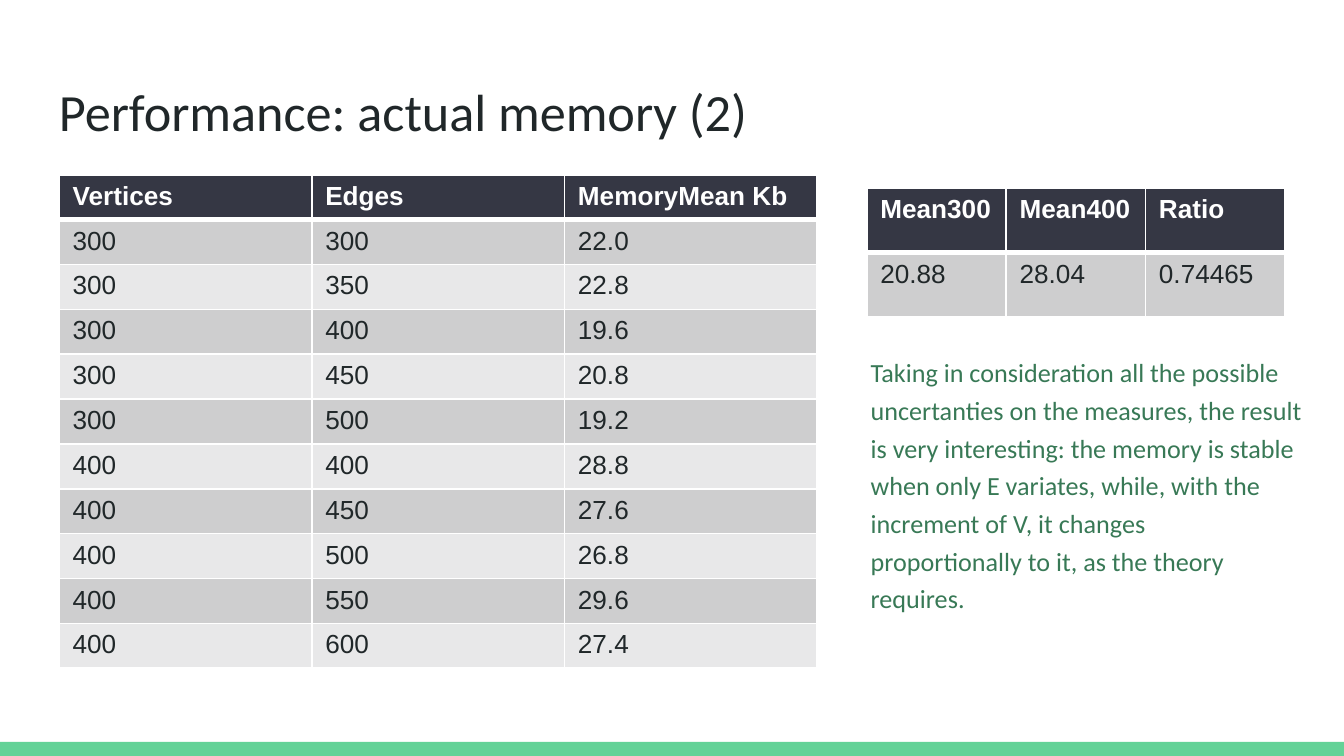
from dataclasses import dataclass

from lxml.etree import SubElement
from pptx import Presentation
from pptx.dml.color import RGBColor
from pptx.enum.shapes import MSO_SHAPE as Preset
from pptx.oxml.ns import qn
from pptx.slide import Slide
from pptx.table import _Cell as Cell
from pptx.text.text import TextFrame
from pptx.util import Inches, Pt

WHITE = RGBColor(0xFF, 0xFF, 0xFF)
INK = RGBColor(0x20, 0x27, 0x29)
NAVY = RGBColor(0x35, 0x37, 0x44)
DARK_BAND = RGBColor(0xCE, 0xCE, 0xCF)
LIGHT_BAND = RGBColor(0xE8, 0xE8, 0xE9)
MINT = RGBColor(0x63, 0xD2, 0x97)
GREEN = RGBColor(0x38, 0x79, 0x56)


@dataclass
class Measures:
    left: float
    top: float
    width: float
    height: float
    header_height: float
    body_height: float
    rows: list[tuple[str, ...]]


MEMORY = Measures(0.44, 1.3, 5.64, 3.67, 0.25, 3.24, [
    ("Vertices", "Edges", "MemoryMean Kb"),
    ("300", "300", "22.0"),
    ("300", "350", "22.8"),
    ("300", "400", "19.6"),
    ("300", "450", "20.8"),
    ("300", "500", "19.2"),
    ("400", "400", "28.8"),
    ("400", "450", "27.6"),
    ("400", "500", "26.8"),
    ("400", "550", "29.6"),
    ("400", "600", "27.4"),
])
MEANS = Measures(6.45, 1.4, 3.11, 0.97, 0.48, 0.48, [
    ("Mean300", "Mean400", "Ratio"),
    ("20.88", "28.04", "0.74465"),
])
CONCLUSION = (
    "Taking in consideration all the possible uncertanties on the measures, "
    "the result is very interesting: the memory is stable when only E variates, "
    "while, with the increment of V, it changes proportionally to it, "
    "as the theory requires."
)


def write(frame: TextFrame, text: str, *, size: float = 14, font: str = "Calibri",
          color: RGBColor = INK, bold: bool = False,
          line_spacing: float | None = None, space_after: float = 0) -> None:
    paragraph = frame.paragraphs[0]
    paragraph.line_spacing = line_spacing
    paragraph.space_after = Pt(space_after)
    run = paragraph.add_run()
    run.text = text
    run.font.size = Pt(size)
    run.font.name = font
    run.font.bold = bold
    run.font.color.rgb = color


def add_text_area(slide: Slide, left: float, top: float, width: float, height: float,
                  inset: float = 0.05) -> TextFrame:
    area = slide.shapes.add_textbox(Inches(left), Inches(top), Inches(width), Inches(height))
    frame = area.text_frame
    frame.word_wrap = True
    frame.margin_top = frame.margin_bottom = Inches(inset)
    return frame


def set_borders(cell: Cell, top: float, bottom: float) -> None:
    properties = cell._tc.get_or_add_tcPr()
    for side, width in {"lnL": 1, "lnR": 1, "lnT": top, "lnB": bottom}.items():
        line = SubElement(properties, qn(f"a:{side}"), w=str(Pt(width)))
        fill = SubElement(line, qn("a:solidFill"))
        SubElement(fill, qn("a:srgbClr"), val=str(WHITE))


def add_measures(slide: Slide, measures: Measures) -> None:
    row_count, column_count = len(measures.rows), len(measures.rows[0])
    row_height = measures.body_height / (row_count - 1)
    holder = slide.shapes.add_table(
        row_count, column_count, Inches(measures.left), Inches(measures.top),
        Inches(measures.width), Inches(measures.height))
    table = holder.table
    for index, values in enumerate(measures.rows):
        header = index == 0
        band = NAVY if header else DARK_BAND if index % 2 else LIGHT_BAND
        table.rows[index].height = Inches(measures.header_height if header else row_height)
        for cell, value in zip(table.rows[index].cells, values):
            set_borders(cell, top=3 if index == 1 else 1, bottom=3 if header else 1)
            cell.fill.solid()
            cell.fill.fore_color.rgb = band
            write(cell.text_frame, value, font="Arial",
                  color=WHITE if header else INK, bold=header)
    holder.height = Inches(measures.height)


def main() -> None:
    deck = Presentation()
    deck.slide_width = Inches(10)
    deck.slide_height = deck.slide_width * 9 // 16
    slide = deck.slides.add_slide(deck.slide_layouts[6])

    footer_top = Inches(5.52)
    footer = slide.shapes.add_shape(
        Preset.RECTANGLE, Inches(0), footer_top,
        deck.slide_width, deck.slide_height - footer_top)
    footer.shadow.inherit = False
    footer.fill.solid()
    footer.fill.fore_color.rgb = MINT
    footer.line.fill.background()

    title = add_text_area(slide, 0.34, 0.49, 9.32, 0.63, inset=0.1)
    write(title, "Performance: actual memory (2)", size=28)
    for measures in (MEMORY, MEANS):
        add_measures(slide, measures)
    conclusion = add_text_area(slide, 6.38, 2.56, 3.41, 2.36)
    write(conclusion, CONCLUSION, color=GREEN, line_spacing=1.2, space_after=6)

    deck.save("out.pptx")


if __name__ == "__main__":
    main()
